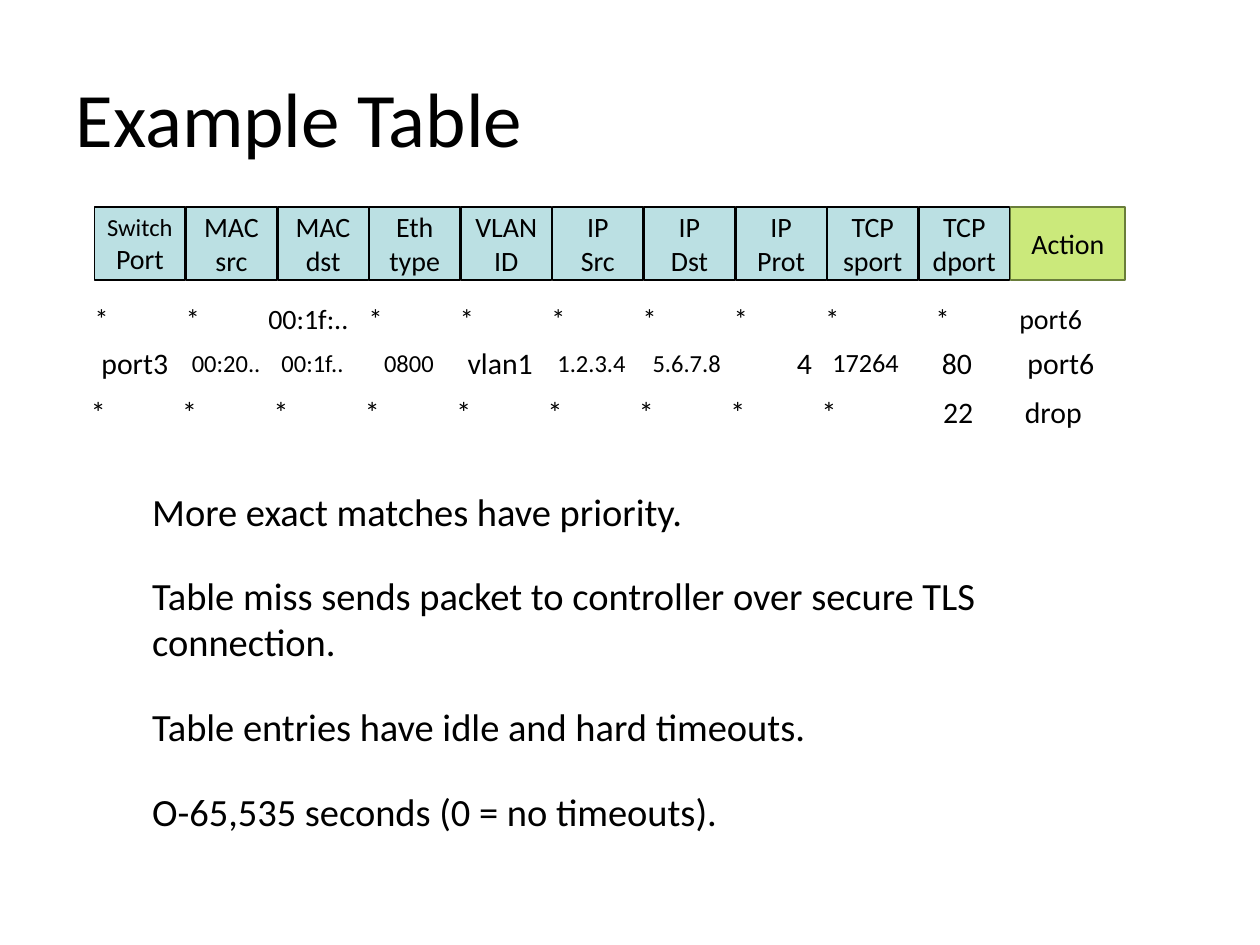
from dataclasses import dataclass

from pptx import Presentation
from pptx import util as u
from pptx.dml import color
from pptx.enum import shapes, text


@dataclass(frozen=True)
class Theme:
    font: str = "Calibri"
    ink: str = "000000"
    match_fill: str = "BBE0E3"
    action_fill: str = "CBE97B"
    action_line: str = "697D3A"
    title: int = 44
    body: int = 22
    value: int = 17
    label: int = 16
    port: int = 15
    small: int = 14


@dataclass(frozen=True)
class Cell:
    words: str
    size: int
    shift: float = 0


THEME = Theme()
LEFT, CELL_WIDTH, CELL_HEIGHT = 0.75, 0.72, 0.35
HEADER_TOP, HEADER_HEIGHT = 1.64, 0.58
ACTION_LEFT, ACTION_WIDTH = 8.02, 0.91
COLUMNS = 10
HEADER_PITCH = (ACTION_LEFT - LEFT) / COLUMNS
VALUE_PITCH = (8 - LEFT) / COLUMNS

HEADERS = ["Switch Port", "MAC src", "MAC dst", "Eth type", "VLAN ID",
           "IP Src", "IP Dst", "IP Prot", "TCP sport", "TCP dport"]

ANY_LABEL = Cell("*", THEME.label)
ANY_VALUE = Cell("*", THEME.value)
DESTINATION_RULE = [
    *[ANY_LABEL] * 2, Cell("00:1f:..", THEME.label, -0.07), *[ANY_LABEL] * 6,
    Cell("*", THEME.label, 0.15), Cell("port6", THEME.label, 0.09)]
FLOW_RULE = [
    Cell("port3", THEME.value), Cell("00:20..", THEME.small),
    Cell("00:1f..", THEME.small, -0.04), Cell("0800", THEME.small),
    Cell("vlan1", THEME.value), Cell("1.2.3.4", THEME.small),
    Cell("5.6.7.8", THEME.small, 0.03), Cell("4", THEME.value, 0.24),
    Cell("17264", THEME.port), Cell("80", THEME.value),
    Cell("port6", THEME.value, 0.1)]
DROP_RULE = [
    *[ANY_VALUE] * 9, Cell("22", THEME.value, 0.3),
    Cell("drop", THEME.value, 0.33)]

NOTES = ["More exact matches have priority.",
         "Table miss sends packet to controller over secure TLS connection.",
         "Table entries have idle and hard timeouts.",
         "O-65,535 seconds (0 = no timeouts)."]


def place(box, left, top, width, height):
    box.left, box.top = u.Inches(left), u.Inches(top)
    box.width, box.height = u.Inches(width), u.Inches(height)


def prepare_frame(frame, anchor, side=0.0, edge=0.0):
    frame.word_wrap = True
    frame.auto_size = text.MSO_AUTO_SIZE.NONE
    frame.vertical_anchor = anchor
    frame.margin_left = frame.margin_right = u.Inches(side)
    frame.margin_top = frame.margin_bottom = u.Inches(edge)


def write_lines(frame, lines, align, gap=0):
    for index, (words, size) in enumerate(lines):
        para = frame.paragraphs[0] if index == 0 else frame.add_paragraph()
        para.alignment = align
        para.space_before, para.space_after = u.Pt(0), u.Pt(gap)
        span = para.add_run()
        span.text = words
        span.font.name, span.font.size = THEME.font, u.Pt(size)
        span.font.color.rgb = color.RGBColor.from_string(THEME.ink)


def add_title(page, words):
    box = page.shapes.title
    place(box, 0.5, 0.3, 8.52, 1.25)
    prepare_frame(box.text_frame, text.MSO_ANCHOR.MIDDLE, 0.1, 0.05)
    write_lines(box.text_frame, [(words, THEME.title)], text.PP_ALIGN.LEFT)


def add_header(page, lines, left, width, fill, line):
    box = page.shapes.add_shape(
        shapes.MSO_SHAPE.RECTANGLE, u.Inches(left), u.Inches(HEADER_TOP),
        u.Inches(width), u.Inches(HEADER_HEIGHT))
    box.shadow.inherit = False
    box.fill.solid()
    box.fill.fore_color.rgb = color.RGBColor.from_string(fill)
    box.line.color.rgb = color.RGBColor.from_string(line)
    box.line.width = u.Pt(1)
    prepare_frame(box.text_frame, text.MSO_ANCHOR.MIDDLE)
    write_lines(box.text_frame, lines, text.PP_ALIGN.CENTER)


def add_headers(page):
    for index, header in enumerate(HEADERS):
        lines = [(word, THEME.small if word == "Switch" else THEME.label)
                 for word in header.split()]
        add_header(page, lines, LEFT + index * HEADER_PITCH, CELL_WIDTH,
                   THEME.match_fill, THEME.ink)
    add_header(page, [("Action", THEME.label)], ACTION_LEFT, ACTION_WIDTH,
               THEME.action_fill, THEME.action_line)


def add_rule(page, cells, left, top, align):
    for index, cell in enumerate(cells):
        box = page.shapes.add_textbox(
            u.Inches(left + index * VALUE_PITCH + cell.shift), u.Inches(top),
            u.Inches(CELL_WIDTH), u.Inches(CELL_HEIGHT))
        prepare_frame(box.text_frame, text.MSO_ANCHOR.MIDDLE)
        write_lines(box.text_frame, [(cell.words, cell.size)], align)


def add_notes(page):
    box = page.shapes.add_textbox(
        u.Inches(1.11), u.Inches(3.82), u.Inches(7.16), u.Inches(2.95))
    prepare_frame(box.text_frame, text.MSO_ANCHOR.TOP, 0.1, 0.05)
    write_lines(box.text_frame, [(note, THEME.body) for note in NOTES],
                text.PP_ALIGN.LEFT, gap=22)


def main():
    deck = Presentation()
    deck.slide_width, deck.slide_height = u.Inches(10), u.Inches(7.5)
    page = deck.slides.add_slide(deck.slide_layouts.get_by_name("Title Only"))
    add_title(page, "Example Table")
    add_headers(page)
    add_rule(page, DESTINATION_RULE, LEFT, 2.35, text.PP_ALIGN.LEFT)
    add_rule(page, FLOW_RULE, 0.71, 2.7, text.PP_ALIGN.CENTER)
    add_rule(page, DROP_RULE, 0.42, 3.09, text.PP_ALIGN.CENTER)
    add_notes(page)
    deck.save("out.pptx")


if __name__ == "__main__":
    main()
